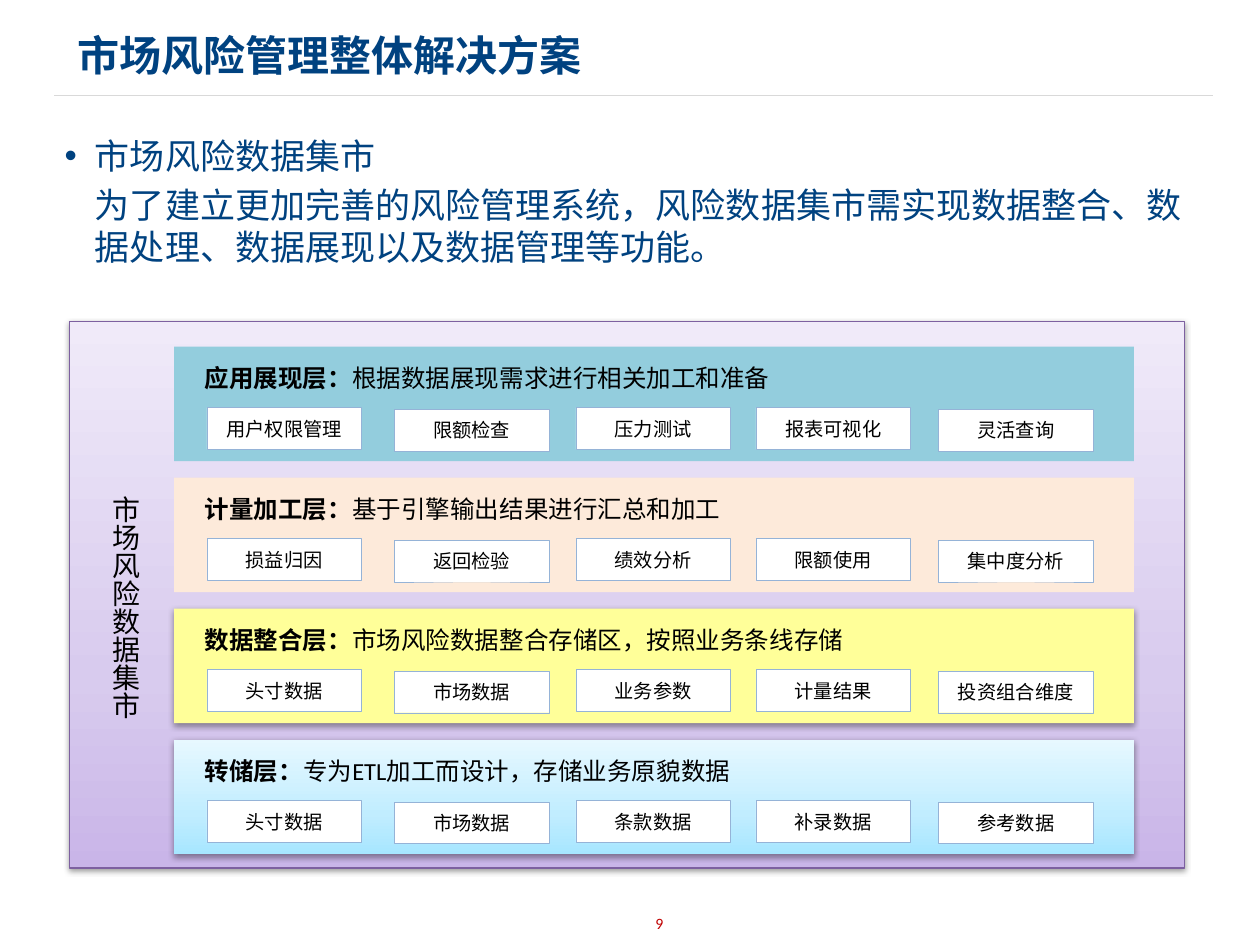
import copy
from dataclasses import dataclass

import lxml.etree
import pptx
import pptx.dml.color
import pptx.enum.shapes
import pptx.enum.text
import pptx.oxml.ns
import pptx.util
from pptx.util import Cm, Pt

qn = pptx.oxml.ns.qn
ALIGN = pptx.enum.text.PP_ALIGN
MIDDLE = pptx.enum.text.MSO_ANCHOR.MIDDLE


@dataclass(frozen=True)
class Theme:
    font: str = "Calibri"
    body_font: str = "Noto Sans CJK SC"
    navy: str = "004280"
    black: str = "000000"
    white: str = "FFFFFF"
    red: str = "C00000"
    rule: str = "D9D9D9"
    mart_line: str = "7D60A0"
    item_line: str = "95B3D7"
    mart: tuple = ("C9B5E8", "D8CBEE", "F0EAF9")
    landing: tuple = ("A7E6FF", "C1EDFF", "E7F8FF")
    integration: str = "FFFF99"
    measurement: str = "FDEADA"
    application: str = "93CDDD"
    title_size: int = 24
    body_size: int = 20
    mart_size: int = 16
    layer_size: int = 14
    item_size: int = 11
    number_size: int = 9


THEME = Theme()
LAYER_LEFT, LAYER_TOP, LAYER_STEP = 3.51, 6.99, 2.64
ITEM_LEFTS = (4.17, 7.95, 11.61, 15.24, 18.92)
ITEM_DROPS = (0, 0.03, 0, 0, 0.03)

LAYERS = (
    ("应用展现层：", "根据数据展现需求进行相关加工和准备", THEME.application, False,
     ("用户权限管理", "限额检查", "压力测试", "报表可视化", "灵活查询")),
    ("计量加工层：", "基于引擎输出结果进行汇总和加工", THEME.measurement, False,
     ("损益归因", "返回检验", "绩效分析", "限额使用", "集中度分析")),
    ("数据整合层：", "市场风险数据整合存储区，按照业务条线存储", THEME.integration, True,
     ("头寸数据", "市场数据", "业务参数", "计量结果", "投资组合维度")),
    ("转储层：", "专为ETL加工而设计，存储业务原貌数据", THEME.landing, True,
     ("头寸数据", "市场数据", "条款数据", "补录数据", "参考数据")),
)


def rgb(value):
    return pptx.dml.color.RGBColor.from_string(value)


def style_runs(paragraph, size, color=THEME.black, font=THEME.font, bold=False):
    for run in paragraph.runs:
        run.font.name, run.font.size, run.font.bold = font, Pt(size), bold
        run.font.color.rgb = rgb(color)


def place(element, left, top, width, height):
    element.left, element.top = Cm(left), Cm(top)
    element.width, element.height = Cm(width), Cm(height)


def paint_gradient(panel, colors):
    panel.fill.gradient()
    panel.fill.gradient_angle = 90
    first_stop = panel._element.spPr.find(".//" + qn("a:gs"))
    first_stop.addnext(copy.deepcopy(first_stop))
    for stop, color, position in zip(panel.fill.gradient_stops, colors, (0, 0.35, 1)):
        stop.color.rgb = rgb(color)
        stop.position = position


def add_shadow(panel):
    effects = panel._element.spPr.find(qn("a:effectLst"))
    shadow = lxml.etree.SubElement(effects, qn("a:outerShdw"), blurRad="40000",
                                   dist="20000", dir="5400000", rotWithShape="0")
    color = lxml.etree.SubElement(shadow, qn("a:srgbClr"), val=THEME.black)
    lxml.etree.SubElement(color, qn("a:alpha"), val="38000")


def add_panel(shapes, bounds, fill, line=None, line_width=0.75, shadow=False):
    panel = shapes.add_shape(pptx.enum.shapes.MSO_SHAPE.RECTANGLE, *map(Cm, bounds))
    panel.shadow.inherit = False
    if isinstance(fill, tuple):
        paint_gradient(panel, fill)
    else:
        panel.fill.solid()
        panel.fill.fore_color.rgb = rgb(fill)
    if line:
        panel.line.color.rgb = rgb(line)
        panel.line.width = Pt(line_width)
    else:
        panel.line.fill.background()
    if shadow:
        add_shadow(panel)
    return panel


def add_item(shapes, name, left, top):
    item = add_panel(shapes, (left, top, 3.12, 0.84), THEME.white, THEME.item_line, 0.25)
    item.text_frame.text = name
    item.text_frame.vertical_anchor = MIDDLE
    label = item.text_frame.paragraphs[0]
    label.alignment = ALIGN.CENTER
    style_runs(label, THEME.item_size)


def add_layer(slide, top, name, purpose, fill, shadow, items):
    layer = slide.shapes.add_group_shape().shapes
    add_panel(layer, (LAYER_LEFT, top, 19.35, 2.31), fill, shadow=shadow)
    for item, left, drop in zip(items, ITEM_LEFTS, ITEM_DROPS):
        add_item(layer, item, left, top + 1.23 + drop)
    heading = layer.add_textbox(Cm(3.88), Cm(top + 0.28), Cm(13.6), Cm(0.81))
    heading.text_frame.word_wrap = True
    sentence = heading.text_frame.paragraphs[0]
    for part in (name, purpose):
        sentence.add_run().text = part
    sentence.line_spacing, sentence.space_before = 0.9, Pt(9)
    style_runs(sentence, THEME.layer_size)
    sentence.runs[0].font.bold = True


def add_rule(slide):
    rule = slide.shapes.add_connector(pptx.enum.shapes.MSO_CONNECTOR.STRAIGHT,
                                      Cm(1.09), Cm(1.93), Cm(24.46), Cm(1.93))
    rule.line.color.rgb = rgb(THEME.rule)
    rule.line.width = Pt(0.75)
    lxml.etree.SubElement(rule._element.spPr, qn("a:effectLst"))


def fill_title(title):
    place(title, 1.3, 0.2, 23.19, 1.8)
    title.text_frame.text = "市场风险管理整体解决方案"
    title.text_frame.vertical_anchor = MIDDLE
    heading = title.text_frame.paragraphs[0]
    heading.alignment = ALIGN.LEFT
    style_runs(heading, THEME.title_size, THEME.navy, bold=True)


def fill_body(body):
    place(body, 0.89, 2.59, 23.6, 15.19)
    body.text_frame.text = (
        "市场风险数据集市\n"
        "为了建立更加完善的风险管理系统，风险数据集市需实现数据整合、数据处理、数据展现以及数据管理等功能。")
    for paragraph, hanging in zip(body.text_frame.paragraphs, (-0.61, 0)):
        paragraph.line_spacing, paragraph.space_before = Pt(24), Pt(4)
        style_runs(paragraph, THEME.body_size, THEME.navy, THEME.body_font)
        properties = paragraph._p.get_or_add_pPr()
        properties.set("marL", str(Cm(0.77)))
        properties.set("indent", str(Cm(hanging)))
        if hanging:
            lxml.etree.SubElement(properties, qn("a:buChar"), char="•")
        else:
            lxml.etree.SubElement(properties, qn("a:buNone"))


def add_mart_name(slide):
    mart_name = slide.shapes.add_textbox(Cm(1.8), Cm(9.75), Cm(1.19), Cm(4.83))
    mart_name.text_frame.text = "市场风险数据集市"
    mart_name.text_frame.word_wrap = False
    mart_name.text_frame._txBody.bodyPr.set("vert", "eaVert")
    style_runs(mart_name.text_frame.paragraphs[0], THEME.mart_size)


def add_page_number(slide):
    page = slide.shapes.add_textbox(Cm(11.35), Cm(18.11), Cm(3.89), Cm(1.02))
    page.text_frame.text = "9"
    page.text_frame.word_wrap = True
    page.text_frame.vertical_anchor = MIDDLE
    number = page.text_frame.paragraphs[0]
    number.alignment = ALIGN.CENTER
    style_runs(number, THEME.number_size, THEME.red)


def main():
    deck = pptx.Presentation()
    deck.slide_width, deck.slide_height = Cm(25.4), Cm(19.05)
    slide = deck.slides.add_slide(deck.slide_layouts[1])
    add_rule(slide)
    fill_title(slide.shapes.title)
    fill_body(slide.placeholders[1])
    add_page_number(slide)
    add_panel(slide.shapes, (1.4, 6.48, 22.48, 11.02), THEME.mart,
              THEME.mart_line, shadow=True)
    add_mart_name(slide)
    for row, layer in reversed(list(enumerate(LAYERS))):
        add_layer(slide, LAYER_TOP + row * LAYER_STEP, *layer)
    deck.save("out.pptx")


if __name__ == "__main__":
    main()
